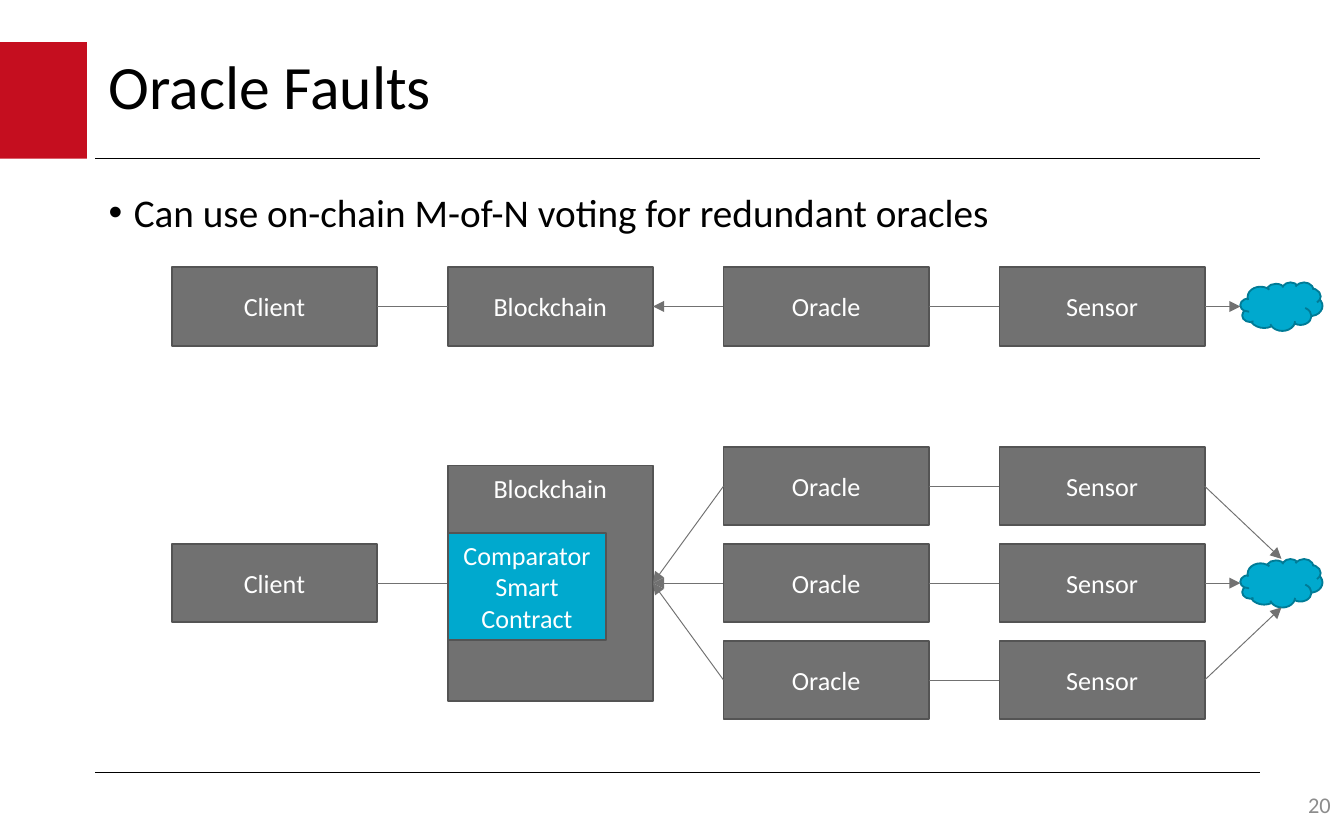
from dataclasses import dataclass
from typing import Optional

from lxml import etree
from pptx import Presentation
from pptx import util as u
from pptx.dml.color import RGBColor
from pptx.enum import shapes, text
from pptx.oxml import ns


@dataclass(frozen=True)
class Theme:
    font: str = "Calibri"
    black: str = "000000"
    white: str = "FFFFFF"
    red: str = "C50E1F"
    grey: str = "717171"
    grey_edge: str = "545454"
    cyan: str = "00A9CE"
    cyan_edge: str = "007B96"
    number: str = "8C8C8C"
    title_size: float = 33
    body_size: float = 21
    box_size: float = 14
    number_size: float = 12


@dataclass(frozen=True)
class Area:
    left: float
    top: float
    width: float
    height: float

    def lengths(self) -> tuple:
        return tuple(u.Pt(v) for v in (self.left, self.top, self.width, self.height))


@dataclass(frozen=True)
class Box:
    label: str
    area: Area
    fill: str
    anchor: text.MSO_ANCHOR = text.MSO_ANCHOR.MIDDLE


THEME = Theme()
TOP, LEFT, BOTTOM, RIGHT = range(4)

# Diagram grid: four columns, one single chain and three redundant chains
FIRST_LEFT, COLUMN_STEP = 92, 147.8
BOX_WIDTH, BOX_HEIGHT = 110, 42
CLOUD_LEFT, CLOUD_WIDTH, CLOUD_HEIGHT = 664.5, 44, 26
SINGLE_Y, REDUNDANT_Y, ROW_STEP = 164.2, 312.4, 51.9
CLIENT, BLOCKCHAIN, ORACLE, SENSOR = range(4)


def style_text(para, size: float, color: str, align=text.PP_ALIGN.LEFT) -> None:
    para.alignment = align
    for span in para.runs:
        span.font.name = THEME.font
        span.font.size = u.Pt(size)
        span.font.color.rgb = RGBColor.from_string(color)


def draw_shape(page, kind, area: Area, fill: str, edge: Optional[str] = None):
    shape = page.shapes.add_shape(kind, *area.lengths())
    shape.shadow.inherit = False
    shape.fill.solid()
    shape.fill.fore_color.rgb = RGBColor.from_string(fill)
    if edge:
        shape.line.color.rgb = RGBColor.from_string(edge)
        shape.line.width = u.Pt(1)
    else:
        shape.line.fill.background()
    return shape


def draw_box(page, box: Box):
    shape = draw_shape(page, shapes.MSO_SHAPE.RECTANGLE, box.area, box.fill, THEME.grey_edge)
    frame = shape.text_frame
    frame.word_wrap = True
    frame.vertical_anchor = box.anchor
    frame.text = box.label
    style_text(frame.paragraphs[0], THEME.box_size, THEME.white, text.PP_ALIGN.CENTER)
    return shape


def grid_box(page, label: str, column: int, middle: float):
    left = FIRST_LEFT + column * COLUMN_STEP
    area = Area(left, middle - BOX_HEIGHT / 2, BOX_WIDTH, BOX_HEIGHT)
    return draw_box(page, Box(label, area, THEME.grey))


def draw_cloud(page, middle: float) -> None:
    area = Area(CLOUD_LEFT, middle - CLOUD_HEIGHT / 2, CLOUD_WIDTH, CLOUD_HEIGHT)
    draw_shape(page, shapes.MSO_SHAPE.CLOUD, area, THEME.cyan, THEME.cyan_edge)


def draw_line(page, start: tuple, end: tuple, color: str, width: float, arrow: bool = False):
    points = [u.Pt(v) for v in (*start, *end)]
    line = page.shapes.add_connector(shapes.MSO_CONNECTOR.STRAIGHT, *points)
    line.line.color.rgb = RGBColor.from_string(color)
    line.line.width = u.Pt(width)
    properties = line._element.spPr
    if arrow:
        tail = etree.SubElement(properties.find(ns.qn("a:ln")), ns.qn("a:tailEnd"))
        tail.set("type", "triangle")
    etree.SubElement(properties, ns.qn("a:effectLst"))
    return line


def join(page, source, source_side: int, target, target_side: int, arrow: bool = False) -> None:
    line = draw_line(page, (0, 0), (0, 0), THEME.grey, 0.5, arrow)
    line.begin_connect(source, source_side)
    line.end_connect(target, target_side)


def point_to(page, source, end: tuple) -> None:
    line = draw_line(page, (0, 0), end, THEME.grey, 0.5, arrow=True)
    line.begin_connect(source, RIGHT)


def draw_chain(page, blockchain, middle: float, cloud_point: tuple) -> None:
    """Draw an oracle and its sensor between the blockchain and the cloud."""
    oracle = grid_box(page, "Oracle", ORACLE, middle)
    sensor = grid_box(page, "Sensor", SENSOR, middle)
    join(page, sensor, LEFT, oracle, RIGHT)
    join(page, oracle, LEFT, blockchain, RIGHT, arrow=True)
    point_to(page, sensor, cloud_point)


def place(holder, area: Area, content: str, size: float, color: str):
    holder.left, holder.top, holder.width, holder.height = area.lengths()
    frame = holder.text_frame
    frame.auto_size = text.MSO_AUTO_SIZE.NONE
    frame.word_wrap = True
    frame.text = content
    para = frame.paragraphs[0]
    style_text(para, size, color)
    return para


def draw_frame(page) -> None:
    # Red corner block and the two rules
    draw_shape(page, shapes.MSO_SHAPE.RECTANGLE, Area(0, 22.5, 46.6, 62.5), THEME.red)
    for y in (85, 414):
        draw_line(page, (51, y), (675, y), THEME.black, 0.75)

    # Title and list
    title = page.shapes.title
    para = place(title, Area(51, 22.5, 522, 51), "Oracle Faults",
                 THEME.title_size, THEME.black)
    para.line_spacing = 0.9
    title.text_frame.vertical_anchor = text.MSO_ANCHOR.MIDDLE

    para = place(page.placeholders[1], Area(51, 100, 623, 291),
                 "Can use on-chain M-of-N voting for redundant oracles",
                 THEME.body_size, THEME.black)
    para.line_spacing = 0.9
    para.space_before = u.Pt(0)
    properties = para._p.get_or_add_pPr()
    properties.set("marL", str(u.Pt(13.5)))
    properties.set("indent", str(-u.Pt(13.5)))
    etree.SubElement(properties, ns.qn("a:buChar")).set("char", "•")

    # Page number
    area = Area(574, 422.5, 146, 17.5)
    number = page.shapes.add_textbox(*area.lengths())
    para = place(number, area, "20", THEME.number_size, THEME.number)
    para.alignment = text.PP_ALIGN.RIGHT
    number.text_frame.vertical_anchor = text.MSO_ANCHOR.MIDDLE


def draw_single(page) -> None:
    client = grid_box(page, "Client", CLIENT, SINGLE_Y)
    blockchain = grid_box(page, "Blockchain", BLOCKCHAIN, SINGLE_Y)
    join(page, client, RIGHT, blockchain, LEFT)
    draw_cloud(page, SINGLE_Y)
    draw_chain(page, blockchain, SINGLE_Y, (CLOUD_LEFT, SINGLE_Y))


def draw_redundant(page) -> None:
    left = FIRST_LEFT + BLOCKCHAIN * COLUMN_STEP
    client = grid_box(page, "Client", CLIENT, REDUNDANT_Y)
    blockchain = draw_box(page, Box("Blockchain", Area(left, REDUNDANT_Y - 63, BOX_WIDTH, 126),
                                    THEME.grey, text.MSO_ANCHOR.TOP))
    join(page, client, RIGHT, blockchain, LEFT)
    draw_cloud(page, REDUNDANT_Y)
    for row in (-1, 0, 1):
        cloud_x = CLOUD_LEFT + abs(row) * CLOUD_WIDTH / 2
        cloud_y = REDUNDANT_Y + row * CLOUD_HEIGHT / 2
        draw_chain(page, blockchain, REDUNDANT_Y + row * ROW_STEP, (cloud_x, cloud_y))
    draw_box(page, Box("Comparator Smart Contract", Area(left, 285.7, 85, 57), THEME.cyan))


def main() -> None:
    deck = Presentation()
    deck.slide_width, deck.slide_height = u.Pt(720), u.Pt(450)
    page = deck.slides.add_slide(deck.slide_layouts[1])
    draw_frame(page)
    draw_single(page)
    draw_redundant(page)
    deck.save("out.pptx")


if __name__ == "__main__":
    main()
